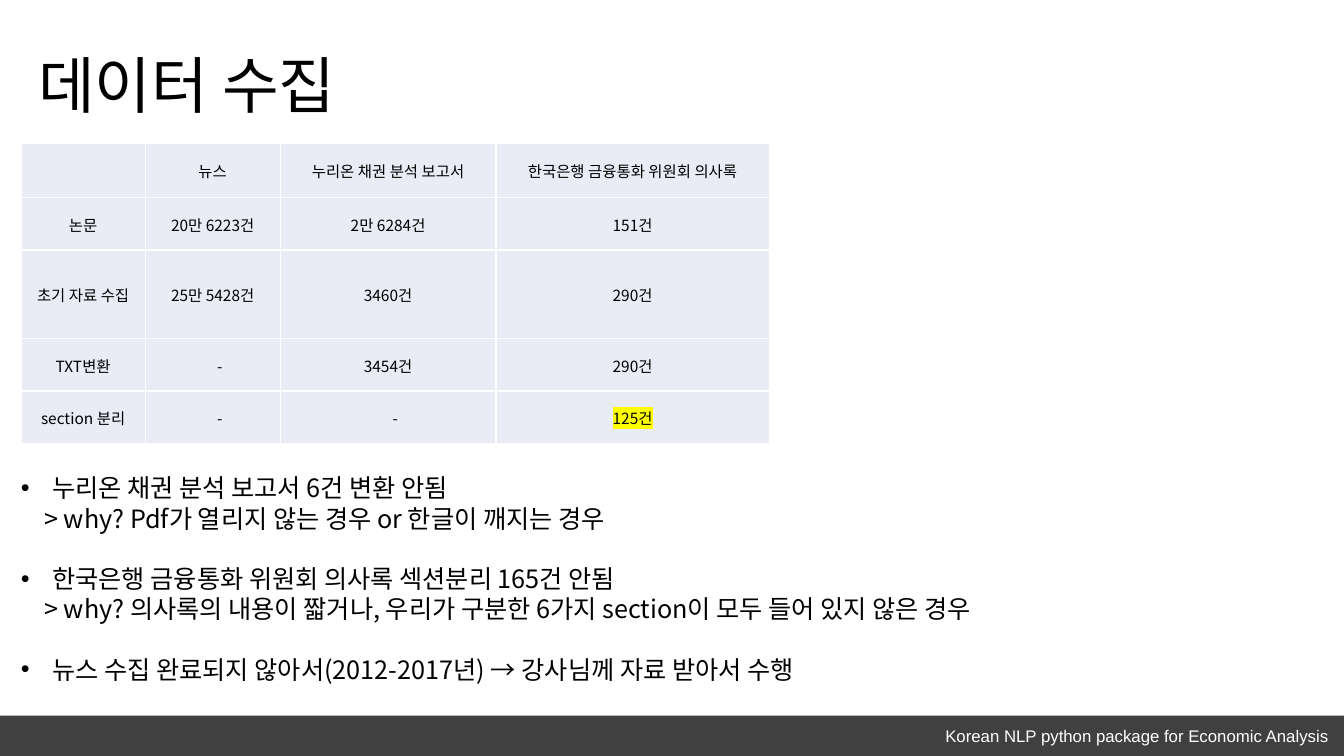
import pptx
import pptx.util
import pptx.dml.color
import pptx.enum.shapes
import pptx.enum.text
import pptx.oxml
import pptx.oxml.ns
from dataclasses import dataclass
from lxml import etree

Inches = pptx.util.Inches
Pt = pptx.util.Pt
ALIGN = pptx.enum.text.PP_ALIGN
ANCHOR = pptx.enum.text.MSO_ANCHOR
qn = pptx.oxml.ns.qn


@dataclass(frozen=True)
class Theme:
    font: str = "Noto Sans CJK KR"
    plain: str = "Arial"
    ink: str = "000000"
    paper: str = "FFFFFF"
    bar: str = "404040"
    cell: str = "E9EBF5"
    mark: str = "FFFF00"
    title: float = 44
    body: float = 18
    foot: float = 12
    grid: float = 11
    line: float = 21.6


THEME = Theme()

COLS = [1.23, 1.34, 2.14, 2.71]
ROWS = [0.54, 0.52, 0.88, 0.52, 0.52]
COUNTS = [
    ["", "뉴스", "누리온 채권 분석 보고서", "한국은행 금융통화 위원회 의사록"],
    ["논문", "20만 6223건", "2만 6284건", "151건"],
    ["초기 자료 수집", "25만 5428건", "3460건", "290건"],
    ["TXT변환", "-", "3454건", "290건"],
    ["section 분리", "-", "-", "125건"],
]
MARKED = "125건"
NOTES = [
    ("누리온 채권 분석 보고서 6건 변환 안됨",
     "> why? Pdf가 열리지 않는 경우 or 한글이 깨지는 경우"),
    ("한국은행 금융통화 위원회 의사록 섹션분리 165건 안됨",
     "> why? 의사록의 내용이 짧거나, 우리가 구분한 6가지 section이 모두 들어 있지 않은 경우"),
    ("뉴스 수집 완료되지 않아서(2012-2017년) → 강사님께 자료 받아서 수행",),
]


def rgb(code):
    return pptx.dml.color.RGBColor.from_string(code)


def write(para, text, size, font=THEME.font, color=THEME.ink,
          align=ALIGN.LEFT, mark=None, space=None, before=0):
    para.alignment = align
    para.space_before = Pt(before)
    if space:
        para.line_spacing = space
    run = para.add_run()
    run.text = text
    run.font.size = Pt(size)
    run.font.color.rgb = rgb(color)
    run.font.name = font
    props = run.font._element
    latin = props.find(qn("a:latin"))
    east = etree.Element(qn("a:ea"), typeface=font)
    latin.addnext(east)
    if mark:
        glow = etree.Element(qn("a:highlight"))
        etree.SubElement(glow, qn("a:srgbClr"), val=mark)
        latin.addprevious(glow)


def indent(para, left, hang=0, bullet=None):
    props = para._p.get_or_add_pPr()
    props.set("marL", str(Inches(left)))
    props.set("indent", str(Inches(-hang)))
    if bullet:
        etree.SubElement(props, qn("a:buFont"), typeface=THEME.plain)
        etree.SubElement(props, qn("a:buChar"), char=bullet)


def border(cell):
    props = cell._tc.get_or_add_tcPr()
    for spot, side in enumerate(("lnL", "lnR", "lnT", "lnB")):
        line = etree.Element(qn(f"a:{side}"), w=str(Pt(1)))
        fill = etree.SubElement(line, qn("a:solidFill"))
        etree.SubElement(fill, qn("a:srgbClr"), val=THEME.paper)
        props.insert(spot, line)


def add_box(slide, left, top, width, height):
    box = slide.shapes.add_textbox(
        Inches(left), Inches(top), Inches(width), Inches(height))
    box.text_frame.word_wrap = True
    return box.text_frame


def add_title(slide, text):
    title = slide.shapes.title
    title.left, title.top = Inches(0.28), Inches(0.15)
    title.width, title.height = Inches(4.62), Inches(1.45)
    frame = title.text_frame
    frame.vertical_anchor = ANCHOR.MIDDLE
    write(frame.paragraphs[0], text, THEME.title, space=0.9)


def add_foot(slide, text):
    bar = slide.shapes.add_shape(
        pptx.enum.shapes.MSO_SHAPE.RECTANGLE,
        Inches(0), Inches(7.1), Inches(13.33), Inches(0.4))
    bar.shadow.inherit = False
    bar.fill.solid()
    bar.fill.fore_color.rgb = rgb(THEME.bar)
    bar.line.fill.background()
    frame = add_box(slide, 8.05, 7.15, 5.28, 0.3)
    frame.margin_right = Inches(0.15)
    write(frame.paragraphs[0], text, THEME.foot, font=THEME.plain,
          color=THEME.paper, align=ALIGN.RIGHT)


def fill_cell(cell, text):
    cell.fill.solid()
    cell.fill.fore_color.rgb = rgb(THEME.cell)
    border(cell)
    cell.vertical_anchor = ANCHOR.MIDDLE
    cell.margin_left = Inches(0.15 if text == "-" else 0.01)
    cell.margin_right = cell.margin_top = Inches(0.01)
    cell.margin_bottom = 0
    if text:
        write(cell.text_frame.paragraphs[0], text, THEME.grid,
              align=ALIGN.CENTER,
              mark=THEME.mark if text == MARKED else None)


def add_grid(slide):
    table = slide.shapes.add_table(
        len(ROWS), len(COLS), Inches(0.21), Inches(1.42),
        Inches(sum(COLS)), Inches(sum(ROWS))).table
    table.first_row = False
    table.horz_banding = False
    for col, width in zip(table.columns, COLS):
        col.width = Inches(width)
    for row, height, texts in zip(table.rows, ROWS, COUNTS):
        row.height = Inches(height)
        for cell, text in zip(row.cells, texts):
            fill_cell(cell, text)


def add_notes(slide):
    frame = add_box(slide, 0.11, 4.64, 12.72, 2.22)
    para = frame.paragraphs[0]
    for group, lines in enumerate(NOTES):
        for level, text in enumerate(lines):
            if group or level:
                para = frame.add_paragraph()
            first = level == 0
            write(para, text, THEME.body, space=Pt(THEME.line),
                  before=THEME.line if group and first else 0)
            if first:
                indent(para, 0.31, hang=0.31, bullet="•")
            else:
                indent(para, 0.23)


def main():
    deck = pptx.Presentation()
    deck.slide_width, deck.slide_height = Inches(13.33), Inches(7.5)
    slide = deck.slides.add_slide(deck.slide_layouts.get_by_name("Title Only"))
    add_foot(slide, "Korean NLP python package for Economic Analysis")
    add_title(slide, "데이터 수집")
    add_grid(slide)
    add_notes(slide)
    deck.save("out.pptx")


if __name__ == "__main__":
    main()
